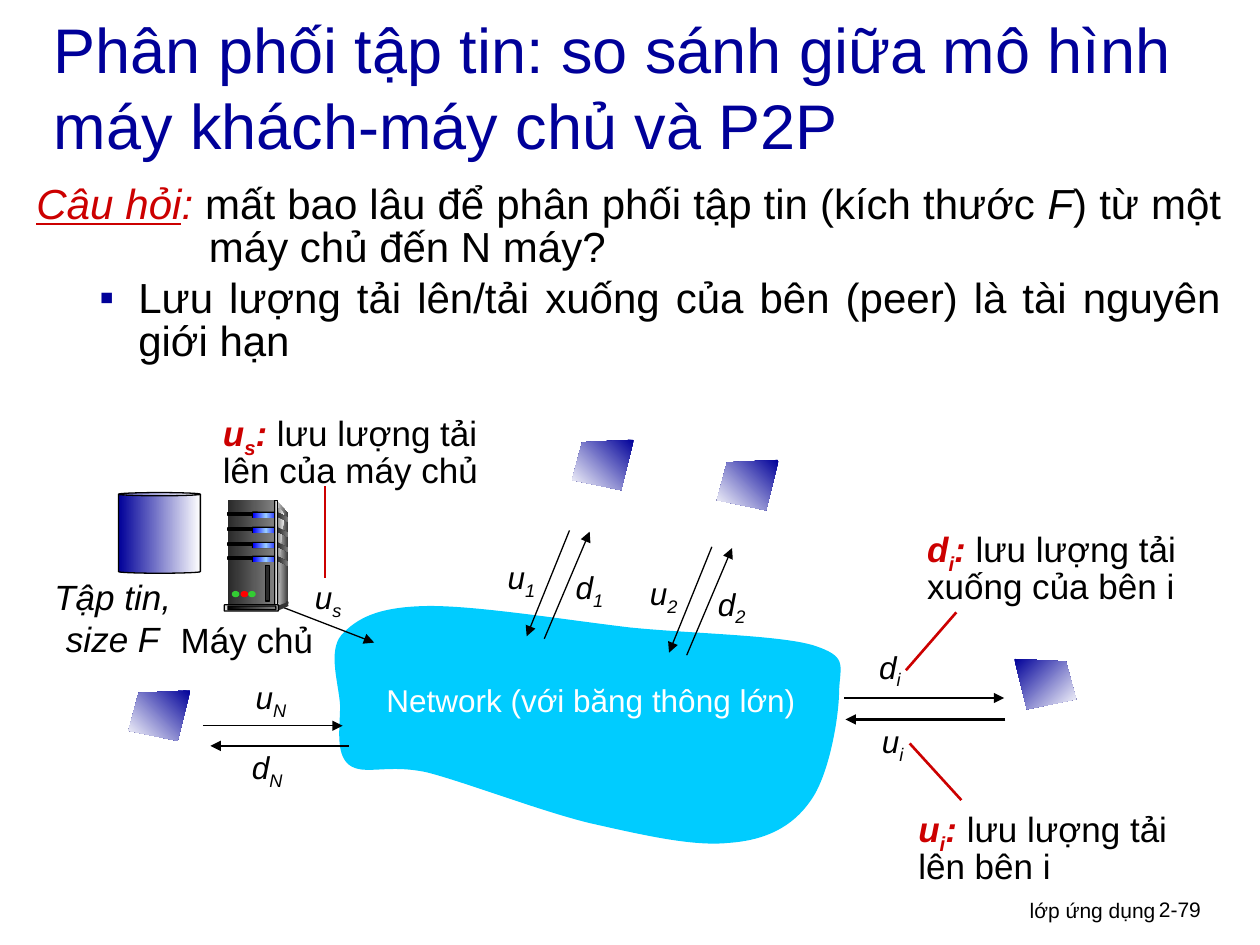
from dataclasses import dataclass
from typing import NamedTuple

from lxml import etree
from pptx import Presentation
from pptx.dml.color import RGBColor as Rgb
from pptx.enum.shapes import MSO_CONNECTOR as Link, MSO_SHAPE as Kind
from pptx.enum.text import MSO_ANCHOR as Anchor, MSO_AUTO_SIZE as Auto, PP_ALIGN as Align
from pptx.oxml.ns import qn
from pptx.util import Inches, Pt

HUE = {"ink": "000000", "navy": "000099", "red": "CC0000", "sky": "00CCFF",
       "white": "FFFFFF", "dark": "292929", "coal": "333333", "gray": "808080",
       "pale": "DDDDDD", "mist": "F8F8F8", "blue": "0000FF", "ice": "99CCFF",
       "green": "33CC33", "lamp": "FF0000"}


@dataclass
class Span:
    text: str
    hue: str = "ink"
    bold: bool = False
    slant: bool = False
    under: bool = False
    sub: bool = False


class Arrow(NamedTuple):
    start: tuple
    end: tuple
    hue: str = "ink"
    width: float = 0.75
    tip: bool = True


class Part(NamedTuple):
    kind: Kind
    box: tuple
    fill: tuple
    edge: bool = False
    adj: float = 0


def put(parent, tag: str, **attrs):
    item = etree.SubElement(parent, qn(tag))
    for key, value in attrs.items():
        item.set(key, str(value))
    return item


def paint(shape, hues: tuple, angle: int = 0, edge: bool = False) -> None:
    """Fill with one colour, or with an even gradient of several."""
    shape.shadow.inherit = False
    if len(hues) == 1:
        shape.fill.solid()
        shape.fill.fore_color.rgb = Rgb.from_string(HUE[hues[0]])
    else:
        grad = etree.Element(qn("a:gradFill"), rotWithShape="1")
        stops = put(grad, "a:gsLst")
        for i, hue in enumerate(hues):
            stop = put(stops, "a:gs", pos=100000 * i // (len(hues) - 1))
            put(stop, "a:srgbClr", val=HUE[hue])
        put(grad, "a:lin", ang=angle * 60000, scaled=0)
        shape._element.spPr[1].addnext(grad)
    if edge:
        shape.line.color.rgb = Rgb.from_string(HUE["ink"])
        shape.line.width = Pt(0.75)
    else:
        shape.line.fill.background()


def draw(shapes, part: Part) -> None:
    shape = shapes.add_shape(part.kind, *map(Inches, part.box))
    if part.adj:
        shape.adjustments[0] = part.adj
    paint(shape, part.fill, edge=part.edge)


def outline(shapes, points: list, hues: tuple, angle: int = 0, bent: bool = False) -> None:
    """Closed shape; when bent, each three points after the first make a Bezier curve."""
    spots = [(Inches(x), Inches(y)) for x, y in points]
    pen = shapes.build_freeform(*spots[0])
    pen.add_line_segments(spots[1:], close=True)
    shape = pen.convert_to_shape()
    if bent:
        legs = list(shape._element.iter(qn("a:lnTo")))
        for i in range(0, len(legs), 3):
            bend = etree.Element(qn("a:cubicBezTo"))
            legs[i].addprevious(bend)
            for leg in legs[i:i + 3]:
                bend.append(leg[0])
                leg.getparent().remove(leg)
    paint(shape, hues, angle)


def join(shapes, arrow: Arrow) -> None:
    line = shapes.add_connector(Link.STRAIGHT, *map(Inches, arrow.start + arrow.end))
    line.line.color.rgb = Rgb.from_string(HUE[arrow.hue])
    line.line.width = Pt(arrow.width)
    if arrow.tip:
        put(line.line._get_or_add_ln(), "a:tailEnd", type="triangle")
    put(line._element.spPr, "a:effectLst")


def write(par, spans: list, size: float) -> None:
    for span in spans:
        run = par.add_run()
        run.text = span.text
        font = run.font
        font.name, font.size = "Arial", Pt(size)
        font.bold, font.italic, font.underline = span.bold, span.slant, span.under
        font.color.rgb = Rgb.from_string(HUE[span.hue])
        if span.sub:
            run._r.get_or_add_rPr().set("baseline", "-25000")


def text(shapes, box: tuple, spans: list, size: float, align=Align.LEFT,
         space: float = 1, grow: bool = True):
    frame = shapes.add_textbox(*map(Inches, box)).text_frame
    frame.word_wrap = True
    frame.auto_size = Auto.SHAPE_TO_FIT_TEXT if grow else Auto.NONE
    par = frame.paragraphs[0]
    par.alignment, par.line_spacing = align, space
    write(par, spans, size)
    return frame


def label(shapes, x: float, y: float, name: str, sub: str, width: float = 0.67) -> None:
    text(shapes, (x, y, width, 0.4), [Span(name, slant=True), Span(sub, slant=True, sub=True)], 18)


def legend(shapes, box: tuple, name: str, sub: str, note: str) -> None:
    spans = [Span(name, "red", True, True), Span(sub, "red", True, True, sub=True),
             Span(":", "red", True, True), Span(" " + note)]
    text(shapes, box, spans, 20, space=0.85)


def screen(shapes, x: float, y: float, flip: bool = False) -> None:
    points = [(0.49, 0), (0.08, 0.02), (0, 0.32), (0.39, 0.4)]
    points = [(x + (0.49 - dx if flip else dx), y + dy) for dx, dy in points]
    outline(shapes, points, ("navy", "white"), 45 if flip else 135)


def peer(shapes, num: str, dx: float, dy: float) -> None:
    """Upload and download arrows of one peer, with their labels."""
    group = shapes.add_group_shape().shapes
    label(group, 3.93 + dx, 4.38 + dy, "u", num)
    join(group, Arrow((4.52 + dx, 4.21 + dy), (4.18 + dx, 5.05 + dy)))
    join(group, Arrow((4.32 + dx, 5.07 + dy), (4.68 + dx, 4.22 + dy)))
    label(group, 4.47 + dx, 4.46 + dy, "d", num)


def server(shapes) -> None:
    group = shapes.add_group_shape().shapes
    rect, pill, dot = Kind.RECTANGLE, Kind.ROUNDED_RECTANGLE, Kind.OVAL
    outline(group, [(2.2, 3.98), (2.29, 4.08), (2.28, 4.78), (2.19, 4.81)], ("pale", "coal"))
    draw(group, Part(rect, (1.81, 3.97, 0.37, 0.84), ("dark", "gray")))
    strip = [(2.21, 4.03), (2.21, 4.03), (2.22, 4.03), (2.26, 4.09),
             (2.2, 4.4), (2.22, 4.8), (2.21, 4.79)]
    outline(group, strip, ("gray", "mist"), bent=True)
    slot = [(0, 0), (0.02, 0), (0.04, 0.02), (0.09, 0.04), (0.09, 0.05), (0.09, 0.05),
            (0.08, 0.07), (0.08, 0.07), (0.05, 0.05), (0, 0.03), (0, 0.02), (0, 0), (0, 0)]
    for y in (4.07, 4.19, 4.31, 4.42):
        draw(group, Part(rect, (1.81, y, 0.21, 0.02), ("ink",), True))
        draw(group, Part(pill, (2, y - 0.01, 0.21, 0.05), ("ink",), adj=0.11))
        draw(group, Part(pill, (2.01, y, 0.2, 0.04), ("blue", "ice", "blue"), adj=0.11))
        outline(group, [(2.2 + dx, y + dy) for dx, dy in slot], ("dark", "gray"), bent=True)
    draw(group, Part(rect, (2.18, 3.97, 0.02, 0.84), ("coal", "pale", "coal"), True))
    draw(group, Part(dot, (2.27, 4.77, 0.02, 0.03), ("coal",)))
    outline(group, [(2.2, 4.81), (2.2, 4.85), (2.29, 4.81), (2.28, 4.78)], ("coal",))
    draw(group, Part(pill, (1.78, 4.8, 0.43, 0.05), ("pale",), True, 0.11))
    draw(group, Part(pill, (1.81, 4.81, 0.38, 0.03), ("ink", "gray"), True, 0.11))
    for x, hue in ((1.84, "green"), (1.91, "lamp"), (1.97, "green")):
        draw(group, Part(dot, (x, 4.69, 0.06, 0.05), (hue,)))
    draw(group, Part(rect, (2.11, 4.49, 0.03, 0.28), ("dark",), True))


def body(shapes) -> None:
    spans = [Span("Câu hỏi", "red", slant=True, under=True), Span(":", "red", slant=True),
             Span(" mất bao lâu để phân phối tập tin (kích thước "),
             Span("F", slant=True), Span(") từ một máy chủ đến N máy?")]
    frame = text(shapes, (0.19, 1.42, 9.6, 0.97), spans, 24, Align.JUSTIFY, 0.85, False)
    item = frame.add_paragraph()
    item.level, item.alignment = 1, Align.JUSTIFY
    item.line_spacing, item.space_before = 0.85, Pt(4.8)
    for par, left, hang in ((frame.paragraphs[0], 1.37, 1.37), (item, 0.81, 0.31)):
        props = par._p.get_or_add_pPr()
        props.set("marL", str(Inches(left)))
        props.set("indent", str(-Inches(hang)))
    props = item._p.get_or_add_pPr()
    put(put(props, "a:buClr"), "a:srgbClr", val=HUE["navy"])
    put(props, "a:buFont", typeface="Arial")
    put(props, "a:buChar", char="▪")
    write(item, [Span("Lưu lượng tải lên/tải xuống của bên (peer) là tài nguyên giới hạn")], 24)


def main() -> None:
    deck = Presentation()
    deck.slide_width, deck.slide_height = Inches(10), Inches(7.5)
    shapes = deck.slides.add_slide(deck.slide_layouts[6]).shapes
    text(shapes, (6.1, 7.07, 3.17, 0.31), [Span("lớp ứng dụng")], 12, Align.RIGHT, grow=False)
    text(shapes, (9.1, 7.07, 0.74, 0.3), [Span("2-79")], 12, grow=False)
    head = text(shapes, (0.33, 0.26, 9.32, 0.85),
                [Span("Phân phối tập tin: so sánh giữa mô hình ", "navy")], 36, grow=False)
    head.vertical_anchor = Anchor.MIDDLE
    head.paragraphs[0].add_line_break()
    write(head.paragraphs[0], [Span("máy khách-máy chủ và P2P", "navy")], 36)
    body(shapes)
    cloud = [(3.37, 4.81), (2.99, 4.82), (2.83, 4.91), (2.71, 5.04),
             (2.6, 5.17), (2.69, 5.43), (2.7, 5.6), (2.7, 5.77), (2.66, 5.98), (2.77, 6.07),
             (2.89, 6.16), (3.07, 6.06), (3.39, 6.13), (3.7, 6.21), (4.27, 6.43), (4.67, 6.53),
             (5.07, 6.62), (5.49, 6.72), (5.78, 6.69), (6.08, 6.67), (6.29, 6.56), (6.43, 6.36),
             (6.58, 6.16), (6.66, 5.69), (6.66, 5.48), (6.67, 5.27), (6.73, 5.21), (6.45, 5.12),
             (6.17, 5.04), (5.5, 5.03), (5, 4.98), (4.49, 4.92), (3.75, 4.8), (3.37, 4.81)]
    outline(shapes, cloud, ("sky",), bent=True)
    for arrow in (Arrow((2.09, 4.76), (2.97, 5.1)),
                  Arrow((1.61, 5.76), (2.72, 5.76)), Arrow((2.77, 5.92), (1.67, 5.92)),
                  Arrow((6.7, 5.54), (7.97, 5.54), width=1.5),
                  Arrow((7.98, 5.71), (6.71, 5.71), width=1.5),
                  Arrow((2.58, 3.86), (2.58, 4.59), "red", 1.5, False),
                  Arrow((7.59, 4.86), (7.19, 5.32), "red", 1.5, False),
                  Arrow((7.63, 6.35), (7.22, 5.9), "red", 1.5, False)):
        join(shapes, arrow)
    label(shapes, 2.4, 4.54, "u", "s", 0.42)
    for x, y, name, sub in ((1.93, 5.33, "u", "N"), (1.9, 5.89, "d", "N"),
                            (6.88, 5.09, "d", "i"), (6.9, 5.68, "u", "i")):
        label(shapes, x, y, name, sub)
    text(shapes, (1.32, 4.86, 1.28, 0.44), [Span("Máy chủ")], 20, Align.CENTER)
    text(shapes, (2.95, 5.36, 3.48, 0.4), [Span("Network (với băng thông lớn)", "white")],
         18, Align.CENTER)
    text(shapes, (0.13, 4.52, 1.53, 0.77), [Span("Tập tin, size F", slant=True)], 20, Align.CENTER)
    legend(shapes, (1.67, 3.24, 2.39, 0.67), "u", "s", "lưu lượng tải lên của máy chủ")
    legend(shapes, (7.19, 6.38, 2.44, 0.67), "u", "i", "lưu lượng tải lên bên i")
    legend(shapes, (7.26, 4.16, 2.74, 0.67), "d", "i", "lưu lượng tải xuống của bên i")
    draw(shapes, Part(Kind.CAN, (0.94, 3.91, 0.65, 0.64), ("navy", "white"), True, 0.04))
    peer(shapes, "2", 1.13, 0.13)
    peer(shapes, "1", 0, 0)
    server(shapes)
    for x, y in ((1.02, 5.48), (4.54, 3.49), (5.69, 3.65)):
        screen(shapes, x, y)
    screen(shapes, 8.05, 5.23, flip=True)
    deck.save("out.pptx")


if __name__ == "__main__":
    main()
